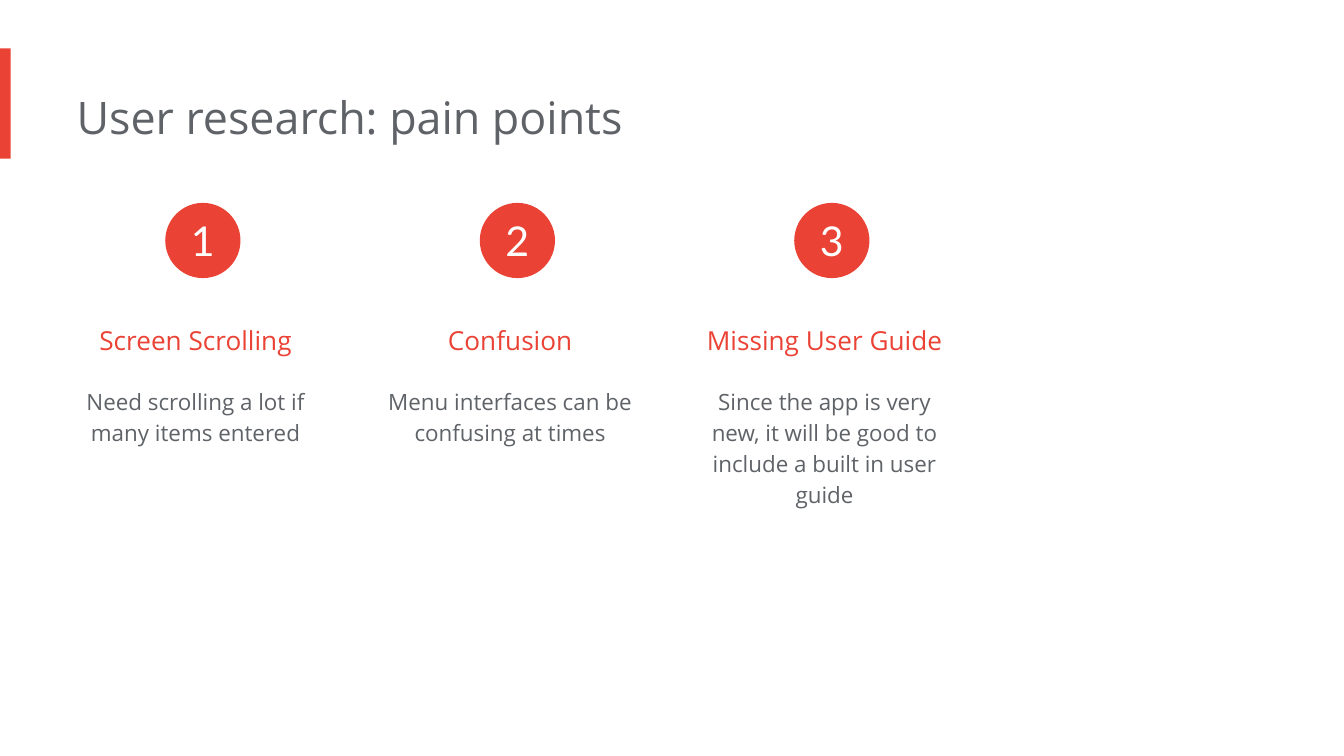
from dataclasses import dataclass

from pptx import Presentation
from pptx.dml.color import RGBColor
from pptx.enum.shapes import MSO_SHAPE as Preset
from pptx.enum.text import MSO_ANCHOR as Anchor, MSO_AUTO_SIZE as AutoSize, PP_ALIGN as Align
from pptx.util import Inches, Pt

RED, GRAY, WHITE = "EA4335", "5F6368", "FFFFFF"
SLIDE_WIDTH = 10
SLIDE_HEIGHT = SLIDE_WIDTH * 9 / 16
COLUMN_LEFT, COLUMN_STEP, COLUMN_WIDTH = 0.48, 2.34, 2.05
BADGE_LEFT, BADGE_SIZE = 1.23, 0.56


@dataclass
class TextStyle:
    size: float
    color: str
    font: str = "Open Sans"
    align: Align = Align.CENTER
    line_spacing: float = 1.0


@dataclass
class PainPoint:
    heading: str
    detail: str
    detail_height: float = 0.67


TITLE = TextStyle(24, GRAY, align=Align.LEFT)
HEADING = TextStyle(14, RED, line_spacing=1.5)
DETAIL = TextStyle(12, GRAY, line_spacing=1.15)
NUMBER = TextStyle(22, WHITE, font="Lato")

PAIN_POINTS = [
    PainPoint("Screen Scrolling", "Need scrolling a lot if many items entered"),
    PainPoint("Confusion", "Menu interfaces can be confusing at times"),
    PainPoint("Missing User Guide",
              "Since the app is very new, it will be good to include a built in user guide", 1.13),
]


def rgb(value: str) -> RGBColor:
    return RGBColor.from_string(value)


def write(shape, text: str, style: TextStyle, frame_format: dict) -> None:
    frame = shape.text_frame
    for name, value in frame_format.items():
        setattr(frame, name, value)
    para = frame.paragraphs[0]
    para.alignment = style.align
    para.line_spacing = style.line_spacing
    span = para.add_run()
    span.text = text
    for name, value in {"name": style.font, "size": Pt(style.size)}.items():
        setattr(span.font, name, value)
    span.font.color.rgb = rgb(style.color)


def add_text(page, text: str, style: TextStyle,
             left: float, top: float, width: float, height: float) -> None:
    box = page.shapes.add_textbox(Inches(left), Inches(top), Inches(width), Inches(height))
    inset = Inches(0.1)
    write(box, text, style, {
        "word_wrap": True, "auto_size": AutoSize.SHAPE_TO_FIT_TEXT, "margin_left": 0,
        "margin_top": inset, "margin_right": inset, "margin_bottom": inset,
    })


def add_red_shape(page, preset: Preset, left: float, top: float, width: float, height: float):
    shape = page.shapes.add_shape(preset, Inches(left), Inches(top), Inches(width), Inches(height))
    shape.shadow.inherit = False
    shape.fill.solid()
    shape.fill.fore_color.rgb = rgb(RED)
    shape.line.fill.background()
    return shape


def add_badge(page, number: int, left: float) -> None:
    badge = add_red_shape(page, Preset.OVAL, left, 1.51, BADGE_SIZE, BADGE_SIZE)
    write(badge, str(number), NUMBER, {
        "vertical_anchor": Anchor.MIDDLE, "margin_left": 0, "margin_top": 0,
        "margin_right": 0, "margin_bottom": 0,
    })


def main() -> None:
    deck = Presentation()
    deck.slide_width, deck.slide_height = Inches(SLIDE_WIDTH), Inches(SLIDE_HEIGHT)
    page = deck.slides.add_slide(deck.slide_layouts[6])

    add_red_shape(page, Preset.RECTANGLE, 0, 0.36, 0.08, 0.82)
    add_text(page, "User research: pain points", TITLE, 0.57, 0.57, 6.73, 0.61)
    for index, point in enumerate(PAIN_POINTS):
        offset = index * COLUMN_STEP
        left = COLUMN_LEFT + offset
        add_text(page, point.heading, HEADING, left, 2.2, COLUMN_WIDTH, 0.56)
        add_text(page, point.detail, DETAIL, left, 2.76, COLUMN_WIDTH, point.detail_height)
        add_badge(page, index + 1, BADGE_LEFT + offset)

    deck.save("out.pptx")


if __name__ == "__main__":
    main()
